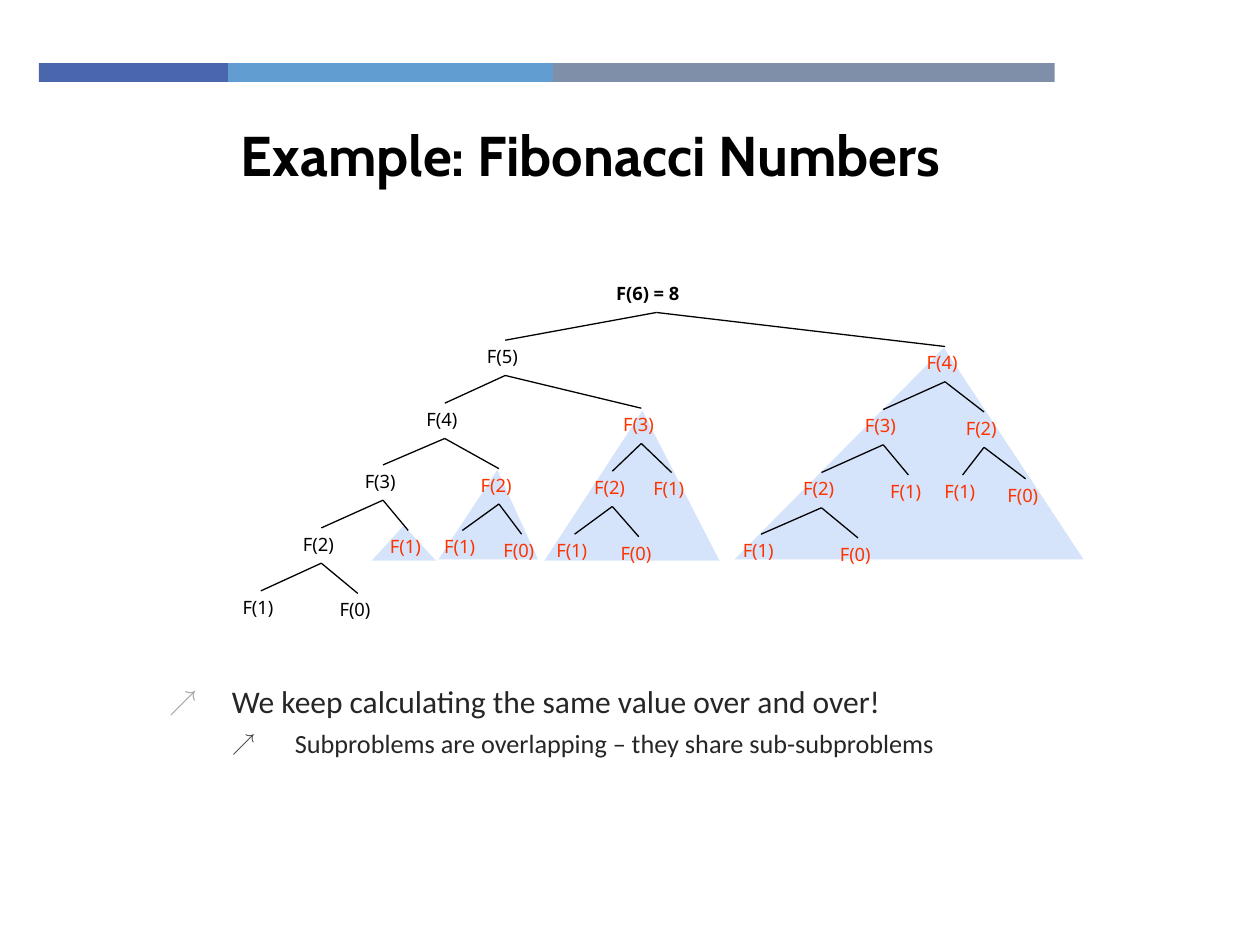
"""Build a slide showing the overlapping calls of the Fibonacci recursion."""
from lxml import etree
from pptx import Presentation
from pptx.dml.color import RGBColor
from pptx.enum.shapes import MSO_CONNECTOR, MSO_SHAPE
from pptx.enum.text import MSO_ANCHOR, MSO_AUTO_SIZE, PP_ALIGN
from pptx.oxml.ns import qn
from pptx.util import Inches, Pt

STRAIGHT = MSO_CONNECTOR.STRAIGHT
RECTANGLE, TRIANGLE = MSO_SHAPE.RECTANGLE, MSO_SHAPE.ISOSCELES_TRIANGLE
TOP, MIDDLE = MSO_ANCHOR.TOP, MSO_ANCHOR.MIDDLE
LEFT, CENTER = PP_ALIGN.LEFT, PP_ALIGN.CENTER
NO_AUTOFIT = MSO_AUTO_SIZE.NONE
TOP_SIDE, BOTTOM_SIDE = 0, 2

BLACK = RGBColor(0x00, 0x00, 0x00)
RED = RGBColor(0xFF, 0x33, 0x00)
BODY_GREY = RGBColor(0x26, 0x26, 0x26)
LIGHT_GREY = RGBColor(0xA6, 0xA6, 0xA6)
DARK_GREY = RGBColor(0x40, 0x40, 0x40)
PALE_BLUE = RGBColor(0xAC, 0xCB, 0xF9)
NAVY = RGBColor(0x4A, 0x66, 0xAC)
SKY = RGBColor(0x62, 0x9D, 0xD1)
SLATE = RGBColor(0x7F, 0x8F, 0xA9)

COLUMNS, ROWS = 10, 7.5
NODE_WIDTH, ROOT_WIDTH, NODE_HEIGHT = 0.47, 0.82, 0.28

BANDS = [(1.5, NAVY), (2.58, SKY), (3.98, SLATE)]
TRIANGLES = [
    (5.83, 2.76, 2.77, 1.68, 0.6),
    (4.32, 3.26, 1.39, 1.19, 0.56),
    (3.48, 3.73, 0.79, 0.71, 0.59),
    (2.95, 4.17, 0.51, 0.28, 0.5),
]
CALL_POSITIONS = [
    (5.21, 2.2), (4.01, 2.7), (3.53, 3.2), (3.04, 3.69), (2.55, 4.19),
    (2.07, 4.69), (2.84, 4.71), (3.24, 4.21), (3.96, 3.72), (3.67, 4.21),
    (4.14, 4.24), (5.09, 3.24), (4.86, 3.74), (4.56, 4.24), (5.07, 4.26),
    (5.33, 3.75), (7.5, 2.75), (7.01, 3.25), (6.52, 3.75), (6.04, 4.24),
    (6.81, 4.27), (7.21, 3.77), (7.81, 3.27), (7.64, 3.77), (8.14, 3.8),
]
BULLETS = [
    ("We keep calculating the same value over and over!", 18, 20, LIGHT_GREY),
    ("Subproblems are overlapping – they share sub-subproblems", 15, 6, DARK_GREY),
]


def write(para, text, font="Noto Sans", size=10.5, color=BLACK, bold=False, align=LEFT):
    """Add formatted text to a paragraph."""
    para.alignment = align
    span = para.add_run()
    span.text = text
    span.font.name = font
    span.font.size = Pt(size)
    span.font.bold = bold
    span.font.color.rgb = color


def set_bullet(para, color, indent):
    """Give a paragraph an arrow bullet with a hanging indent."""
    properties = para._p.get_or_add_pPr()
    properties.set("marL", str(Inches(indent)))
    properties.set("indent", str(Inches(-0.5)))
    holder = etree.SubElement(properties, qn("a:buClr"))
    etree.SubElement(holder, qn("a:srgbClr"), val=str(color))
    etree.SubElement(properties, qn("a:buSzPct"), val="90000")
    etree.SubElement(properties, qn("a:buChar"), char="↗")


class Page:
    """Hold the grid and the current slide, and draw each kind of element."""

    def __init__(self, deck):
        """Start a title and content slide."""
        self.column = deck.slide_width / COLUMNS
        self.row = deck.slide_height / ROWS
        self.slide = deck.slides.add_slide(deck.slide_layouts[1])
        self.shapes = self.slide.shapes

    def area(self, left, top, width, height):
        """Turn grid units into slide lengths."""
        return (round(left * self.column), round(top * self.row),
                round(width * self.column), round(height * self.row))

    def placeholder(self, index, area, anchor):
        """Move a placeholder and return its text frame."""
        box = self.slide.placeholders[index]
        box.left, box.top, box.width, box.height = self.area(*area)
        frame = box.text_frame
        frame.auto_size = NO_AUTOFIT
        frame.vertical_anchor = anchor
        return frame

    def title(self, text, *area):
        """Fill the title placeholder."""
        frame = self.placeholder(0, area, MIDDLE)
        write(frame.paragraphs[0], text, font="Cabin", size=32, bold=True, align=CENTER)

    def bullets(self, items, *area):
        """Fill the body placeholder with one level per item."""
        frame = self.placeholder(1, area, TOP)
        for level, (text, size, before, color) in enumerate(items):
            para = frame.add_paragraph() if level else frame.paragraphs[0]
            para.level = level
            para.line_spacing = 0.9
            para.space_before = Pt(before)
            set_bullet(para, color, 0.5 * (level + 1))
            write(para, text, font="Calibri", size=size, color=BODY_GREY)

    def block(self, kind, color, *area):
        """Draw a filled shape without an outline."""
        shape = self.shapes.add_shape(kind, *self.area(*area))
        shape.shadow.inherit = False
        shape.fill.solid()
        shape.fill.fore_color.rgb = color
        shape.line.fill.background()
        return shape

    def triangle(self, left, top, width, height, apex):
        """Draw a half-transparent triangle behind a repeated subtree."""
        shape = self.block(TRIANGLE, PALE_BLUE, left, top, width, height)
        shape.adjustments[0] = apex
        color = shape._element.spPr.find(qn("a:solidFill")).find(qn("a:srgbClr"))
        etree.SubElement(color, qn("a:alpha"), val="50000")

    def node(self, text, center, top, width=NODE_WIDTH, **style):
        """Write a call label centred on a column position."""
        box = self.shapes.add_textbox(
            *self.area(center - width / 2, top, width, NODE_HEIGHT))
        frame = box.text_frame
        frame.word_wrap = True
        frame.margin_left = frame.margin_right = Inches(0.09)
        frame.margin_top = frame.margin_bottom = Inches(0.04)
        write(frame.paragraphs[0], text, **style)
        return box

    def branch(self, parent, child):
        """Join a call to one of the calls it makes."""
        line = self.shapes.add_connector(STRAIGHT, 0, 0, 0, 0)
        line.begin_connect(parent, BOTTOM_SIDE)
        line.end_connect(child, TOP_SIDE)
        line.line.color.rgb = BLACK
        line.line.width = Pt(0.75)
        etree.SubElement(line._element.spPr, qn("a:effectLst"))

    def call_tree(self, number, positions, seen, parent=None):
        """Draw a call and its subcalls, with repeated calls in red."""
        center, top = next(positions)
        if parent is None:
            box = self.node(f"F({number}) = 8", center, top, ROOT_WIDTH, bold=True)
        else:
            box = self.node(f"F({number})", center, top,
                            color=RED if number in seen else BLACK)
            self.branch(parent, box)
        seen.add(number)
        if number > 1:
            self.call_tree(number - 1, positions, seen, box)
            self.call_tree(number - 2, positions, seen, box)


def main():
    """Build and save the deck."""
    deck = Presentation()
    deck.slide_width, deck.slide_height = Inches(10), Inches(7.5)
    page = Page(deck)
    left = 0.31
    for width, color in BANDS:
        page.block(RECTANGLE, color, left, 0.5, width, 0.15)
        left += width
    page.title("Example: Fibonacci Numbers", 0, 0.69, 9.38, 1.06)
    page.bullets(BULLETS, 1.24, 5.4, 7.23, 0.81)
    for triangle in TRIANGLES:
        page.triangle(*triangle)
    page.call_tree(6, iter(CALL_POSITIONS), set())
    deck.save("out.pptx")


if __name__ == "__main__":
    main()
